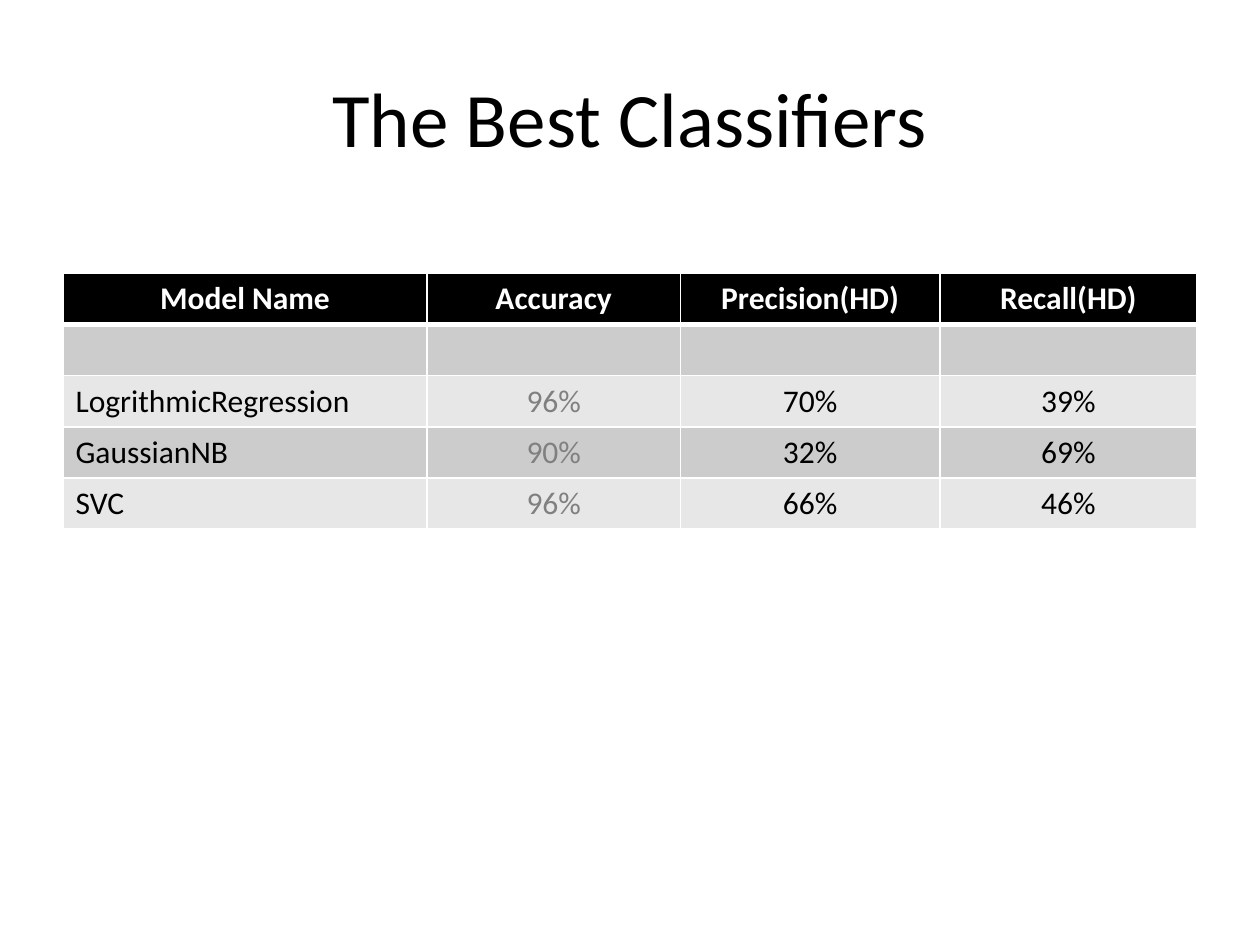
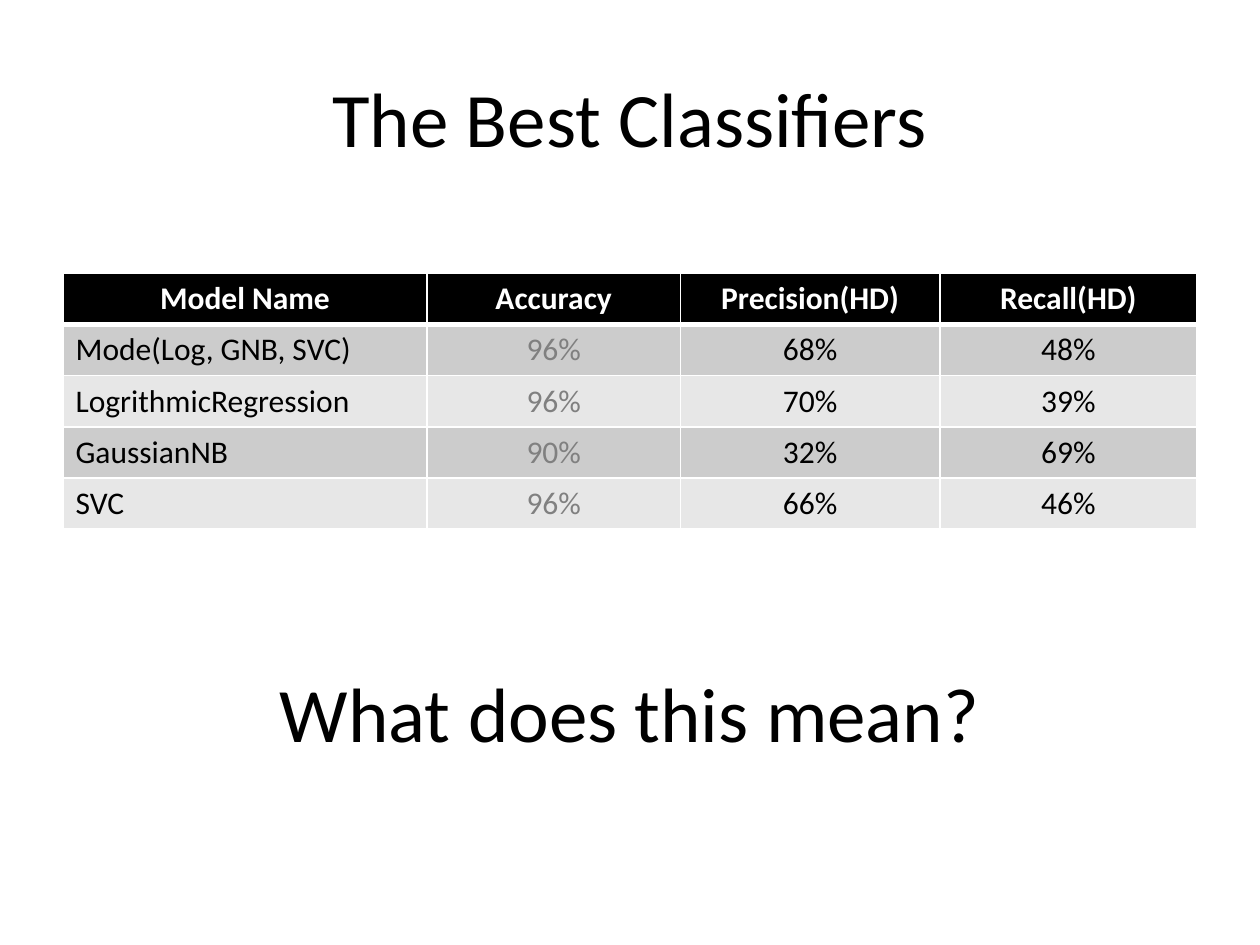
from dataclasses import dataclass

from lxml import etree
from pptx import Presentation
from pptx.dml.color import RGBColor
from pptx.enum.text import MSO_ANCHOR, PP_ALIGN
from pptx.oxml.ns import qn
from pptx.util import Inches, Pt

LEFT, CENTER = PP_ALIGN.LEFT, PP_ALIGN.CENTER
MIDDLE = MSO_ANCHOR.MIDDLE
TITLE_ONLY = 5


@dataclass(frozen=True)
class Theme:
    font: str = "Calibri"
    heading_size: int = 44
    table_size: int = 18
    ink: str = "000000"
    paper: str = "FFFFFF"
    muted: str = "808080"
    bands: tuple = ("CCCCCC", "E7E7E7")
    rule: int = 1
    header_rule: int = 3


THEME = Theme()
TITLE_BOX = (0.5, 0.3, 9, 1.25)
TABLE_BOX = (0.5, 2.17, 9, 2.03)
QUESTION_BOX = (0.5, 5.02, 9, 1.25)
COLUMN_WIDTHS = (2.89, 2.01, 2.06, 2.04)
HEADER = ("Model Name", "Accuracy", "Precision(HD)", "Recall(HD)")
ENSEMBLE = ("Mode(Log, GNB, SVC)", "96%", "68%", "48%")
PENDING = ("",) * len(HEADER)
CLASSIFIERS = (
    ("LogrithmicRegression", "96%", "70%", "39%"),
    ("GaussianNB", "90%", "32%", "69%"),
    ("SVC", "96%", "66%", "46%"),
)


def style_paragraph(paragraph, size, color, align, bold=False):
    paragraph.alignment = align
    font = paragraph.font
    font.name, font.size, font.bold = THEME.font, Pt(size), bold
    font.color.rgb = RGBColor.from_string(color)


def write_heading(shape, text, box):
    shape.left, shape.top, shape.width, shape.height = map(Inches, box)
    frame = shape.text_frame
    frame.text = text
    frame.word_wrap = True
    frame.vertical_anchor = MIDDLE
    style_paragraph(frame.paragraphs[0], THEME.heading_size, THEME.ink, CENTER)


def set_borders(cell, top, bottom):
    properties = cell._tc.get_or_add_tcPr()
    widths = {"a:lnL": THEME.rule, "a:lnR": THEME.rule, "a:lnT": top, "a:lnB": bottom}
    for side, width in widths.items():
        line = etree.SubElement(properties, qn(side), w=str(Pt(width)))
        fill = etree.SubElement(line, qn("a:solidFill"))
        etree.SubElement(fill, qn("a:srgbClr"), val=THEME.paper)


def write_cell(cell, text, row, column):
    is_header = row == 0
    set_borders(
        cell,
        THEME.header_rule if row == 1 else THEME.rule,
        THEME.header_rule if is_header else THEME.rule,
    )
    cell.fill.solid()
    band = THEME.ink if is_header else THEME.bands[(row - 1) % 2]
    cell.fill.fore_color.rgb = RGBColor.from_string(band)
    cell.text = text
    color = THEME.paper if is_header else THEME.muted if column == 1 else THEME.ink
    align = CENTER if is_header or column else LEFT
    style_paragraph(cell.text_frame.paragraphs[0], THEME.table_size, color, align, is_header)


def add_score_table(slide, scores, box):
    table = slide.shapes.add_table(len(scores), len(HEADER), *map(Inches, box)).table
    for column, width in zip(table.columns, COLUMN_WIDTHS):
        column.width = Inches(width)
    for row, values in enumerate(scores):
        for column, text in enumerate(values):
            write_cell(table.cell(row, column), text, row, column)


def add_classifier_slide(deck, first_row, question=None):
    slide = deck.slides.add_slide(deck.slide_layouts[TITLE_ONLY])
    write_heading(slide.shapes.title, "The Best Classifiers", TITLE_BOX)
    add_score_table(slide, (HEADER, first_row, *CLASSIFIERS), TABLE_BOX)
    if question:
        textbox = slide.shapes.add_textbox(*map(Inches, QUESTION_BOX))
        write_heading(textbox, question, QUESTION_BOX)


def main():
    deck = Presentation()
    deck.slide_width, deck.slide_height = Inches(10), Inches(7.5)
    add_classifier_slide(deck, PENDING)
    add_classifier_slide(deck, ENSEMBLE, "What does this mean?")
    deck.save("out.pptx")


if __name__ == "__main__":
    main()
